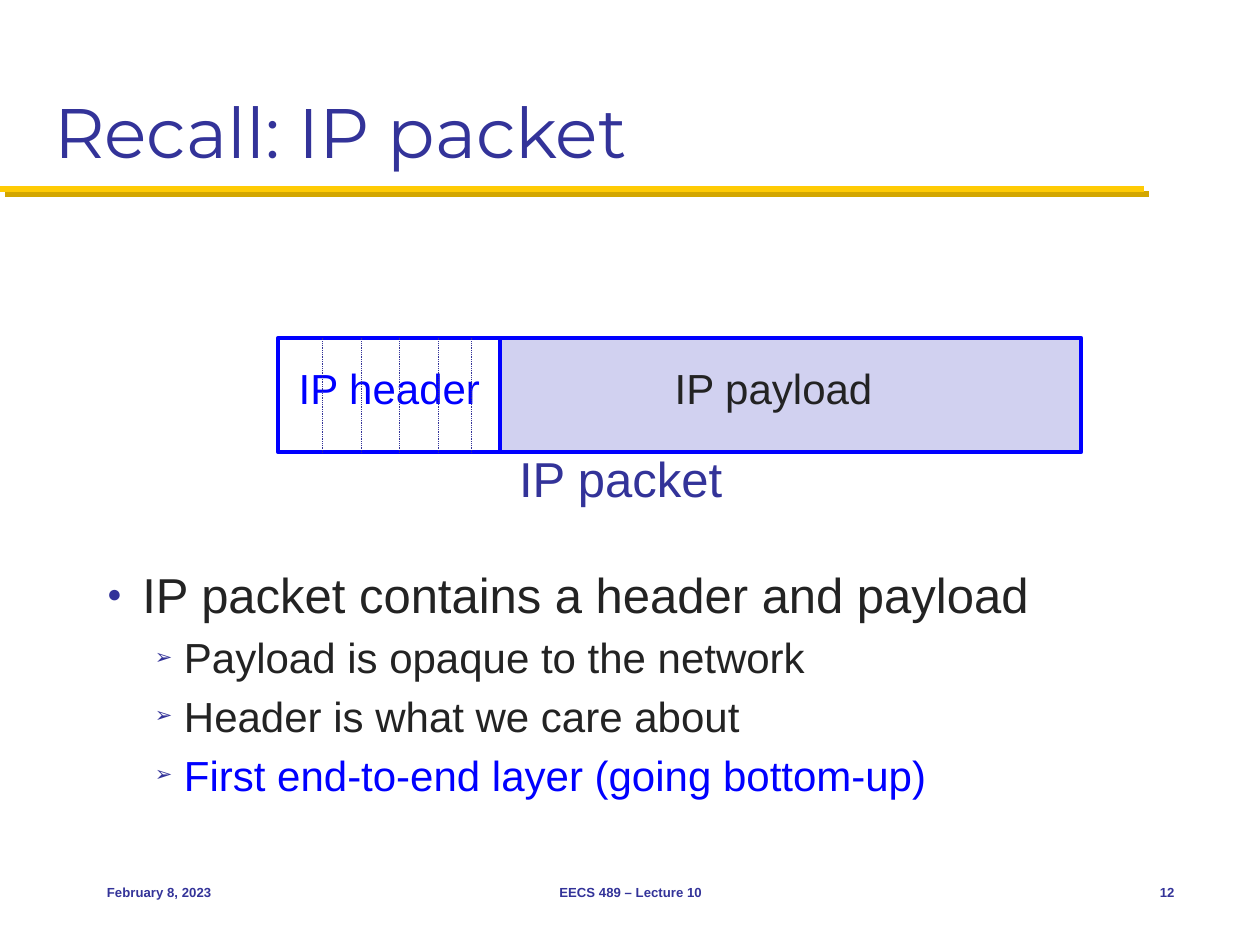
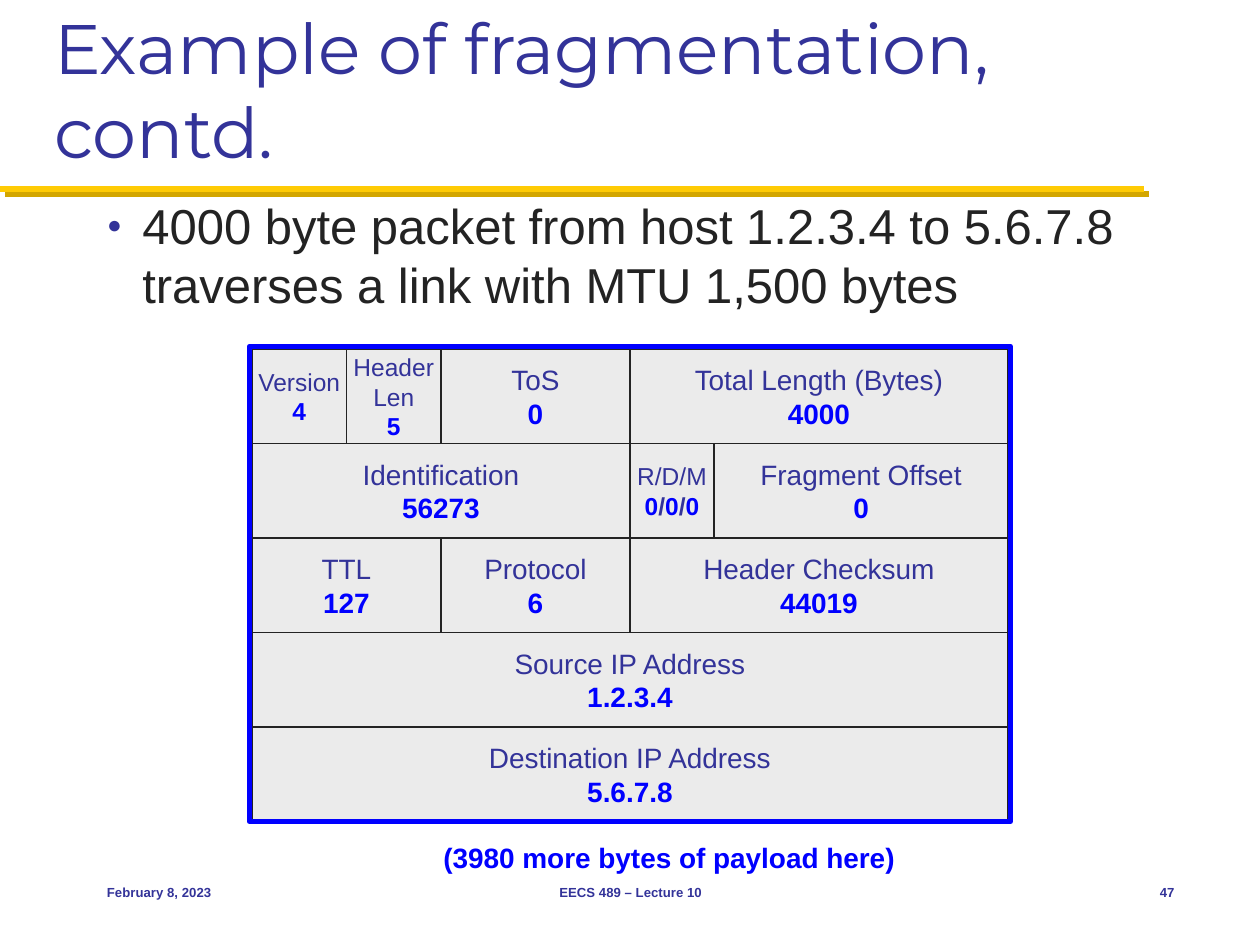
from lxml import etree
from pptx import Presentation
from pptx import util as u
from pptx.dml.color import RGBColor
from pptx.enum import shapes, text
from pptx.oxml.ns import qn

NAVY = RGBColor(0x33, 0x33, 0x99)
BLUE = RGBColor(0x00, 0x00, 0xFF)
INK = RGBColor(0x23, 0x23, 0x23)
MAIZE = RGBColor(0xFF, 0xCB, 0x05)
DARK_MAIZE = RGBColor(0xD3, 0xA6, 0x00)
LAVENDER = RGBColor(0xD1, 0xD1, 0xF0)
GREY = RGBColor(0xEB, 0xEB, 0xEB)
WHITE = RGBColor(0xFF, 0xFF, 0xFF)
BODY_FONT, TITLE_FONT = "Arial", "Montserrat"
LEFT, CENTER, RIGHT = text.PP_ALIGN.LEFT, text.PP_ALIGN.CENTER, text.PP_ALIGN.RIGHT

# Bullet level: text size, left margin, hanging indent, character
LEVELS = [(28, 0.28, 0.28, "●"), (24, 0.61, 0.23, "➢")]

# Footer: text (None takes the slide number), left, width, alignment
FOOTERS = [
    ("February 8, 2023", 0.75, 2.08, LEFT),
    ("EECS 489 – Lecture 10", 3.42, 3.17, CENTER),
    (None, 8.75, 0.67, RIGHT),
]

PACKET_BULLETS = [
    (0, "IP packet contains a header and payload", INK),
    (1, "Payload is opaque to the network", INK),
    (1, "Header is what we care about", INK),
    (1, "First end-to-end layer (going bottom-up)", BLUE),
]
PACKET_LABELS = [  # text, box, size, colour
    ("IP header", (2.13, 2.83, 1.92, 0.5), 24, BLUE),
    ("IP payload", (4.11, 2.83, 4.06, 0.5), 24, INK),
    ("IP packet", (3.8, 3.51, 2.25, 0.57), 28, NAVY),
]
PACKET_TOP, PACKET_HEIGHT = 2.68, 0.91
PACKET_PARTS = [(2.21, 1.77, WHITE), (3.97, 4.61, LAVENDER)]
FIELD_DIVIDERS = [2.56, 2.87, 3.17, 3.48, 3.74]

FRAGMENT_BULLETS = [
    (0, "4000 byte packet from host 1.2.3.4 to 5.6.7.8 "
        "traverses a link with MTU 1,500 bytes", INK),
]
# Header rows: field label, value, width in grid columns (eight to a row)
HEADER_ROWS = [
    [("Version", "4", 1), ("Header\nLen", "5", 1), ("ToS", "0", 2),
     ("Total Length (Bytes)", "4000", 4)],
    [("Identification", "56273", 4), ("R/D/M", "0/0/0", 0.89),
     ("Fragment Offset", "0", 3.11)],
    [("TTL", "127", 2), ("Protocol", "6", 2), ("Header Checksum", "44019", 4)],
    [("Source IP Address", "1.2.3.4", 8)],
    [("Destination IP Address", "5.6.7.8", 8)],
]
GRID_LEFT, GRID_TOP, CELL = 2, 2.77, 0.75
FIELD_SIZE, NARROW_FIELD_SIZE = 16, 14


def inches(*lengths):
    return [u.Inches(length) for length in lengths]


def style(paragraph, size, color, bold=False, font=BODY_FONT):
    for run in paragraph.runs:
        run.font.size, run.font.bold, run.font.name = u.Pt(size), bold, font
        run.font.color.rgb = color


def add_label(slide, words, box, size, color, bold=False, align=CENTER,
              anchor=text.MSO_ANCHOR.TOP, wrap=True):
    frame = slide.shapes.add_textbox(*inches(*box)).text_frame
    frame.word_wrap, frame.vertical_anchor = wrap, anchor
    frame.text = words
    frame.paragraphs[0].alignment = align
    style(frame.paragraphs[0], size, color, bold)


def add_box(slide, box, fill, line, weight):
    rect = slide.shapes.add_shape(shapes.MSO_SHAPE.RECTANGLE, *inches(*box))
    rect.shadow.inherit = False
    if fill is None:
        rect.fill.background()
    else:
        rect.fill.solid()
        rect.fill.fore_color.rgb = fill
    rect.line.color.rgb, rect.line.width = line, u.Pt(weight)
    return rect


def add_line(slide, ends, color, weight):
    """Draw a line; return it with its empty effect list."""
    line = slide.shapes.add_connector(shapes.MSO_CONNECTOR.STRAIGHT, *inches(*ends))
    line.line.color.rgb, line.line.width = color, u.Pt(weight)
    return line, etree.SubElement(line._element.spPr, qn("a:effectLst"))


def add_title_rule(slide):
    _, effects = add_line(slide, (0, 1.5, 9.08, 1.5), MAIZE, 3.5)
    shadow = etree.SubElement(effects, qn("a:outerShdw"), blurRad="0",
                              dist=str(u.Pt(4.2)), dir="2700000", algn="ctr",
                              rotWithShape="0")
    etree.SubElement(shadow, qn("a:srgbClr"), val=str(DARK_MAIZE))


def add_bullet(paragraph, level):
    _, margin, hanging, char = LEVELS[level]
    props = paragraph._p.get_or_add_pPr()
    props.set("marL", str(u.Inches(margin)))
    props.set("indent", str(-u.Inches(hanging)))
    color = etree.SubElement(props, qn("a:buClr"))
    etree.SubElement(color, qn("a:srgbClr"), val=str(NAVY))
    etree.SubElement(props, qn("a:buSzPct"), val="50000")
    etree.SubElement(props, qn("a:buFont"), typeface=BODY_FONT)
    etree.SubElement(props, qn("a:buChar"), char=char)


def place(placeholder, box):
    placeholder.left, placeholder.top, placeholder.width, placeholder.height = inches(*box)
    placeholder.text_frame.auto_size = text.MSO_AUTO_SIZE.NONE
    return placeholder.text_frame


def add_slide(deck, heading, bullets, body_box, number):
    slide = deck.slides.add_slide(deck.slide_layouts[1])
    add_title_rule(slide)

    title = place(slide.shapes.title, (0.33, 0.17, 9.33, 1.25))
    title.vertical_anchor = text.MSO_ANCHOR.BOTTOM
    title.text = heading
    title.paragraphs[0].alignment = LEFT
    style(title.paragraphs[0], 40, NAVY, font=TITLE_FONT)

    body = place(slide.placeholders[1], body_box)
    body.text = "\n".join(words for _, words, _ in bullets)
    for paragraph, (level, _, color) in zip(body.paragraphs, bullets):
        paragraph.level = level
        add_bullet(paragraph, level)
        style(paragraph, LEVELS[level][0], color)
    body.paragraphs[0].space_before = u.Pt(0)

    for words, left, width, align in FOOTERS:
        add_label(slide, words or str(number), (left, 6.83, width, 0.5), 7.5, NAVY,
                  bold=True, align=align, anchor=text.MSO_ANCHOR.MIDDLE)
    return slide


def draw_packet(slide):
    for left, width, fill in PACKET_PARTS:
        add_box(slide, (left, PACKET_TOP, width, PACKET_HEIGHT), fill, BLUE, 2.25)
    for label in PACKET_LABELS:
        add_label(slide, *label)
    for x in FIELD_DIVIDERS:
        divider, _ = add_line(slide, (x, PACKET_TOP, x, PACKET_TOP + PACKET_HEIGHT),
                              NAVY, 0.25)
        outline = divider.get_or_add_ln()
        etree.SubElement(outline, qn("a:prstDash"), val="dot")


def fill_field(frame, label, value, size):
    frame.margin_left = frame.margin_right = frame.margin_top = frame.margin_bottom = 0
    frame.word_wrap, frame.vertical_anchor = False, text.MSO_ANCHOR.MIDDLE
    frame.text = label
    for paragraph in frame.paragraphs:
        style(paragraph, size, NAVY)
    value_line = frame.add_paragraph()
    for piece in value.replace("/", " / ").split():
        value_line.add_run().text = piece
    style(value_line, size, BLUE, bold=True)
    for run in value_line.runs:
        if run.text == "/":
            run.font.color.rgb = NAVY
    for paragraph in frame.paragraphs:
        paragraph.alignment = CENTER


def draw_header_fields(slide):
    for row, fields in enumerate(HEADER_ROWS):
        column = 0
        for label, value, span in fields:
            box = (GRID_LEFT + column * CELL, GRID_TOP + row * CELL, span * CELL, CELL)
            size = NARROW_FIELD_SIZE if span <= 1 else FIELD_SIZE
            field = add_box(slide, box, GREY, INK, 0.75)
            fill_field(field.text_frame, label, value, size)
            column += span
    add_box(slide, (GRID_LEFT - 0.02, GRID_TOP - 0.02, 8 * CELL + 0.04,
                    len(HEADER_ROWS) * CELL + 0.02), None, BLUE, 3)
    add_label(slide, "(3980 more bytes of payload here)", (3.42, 6.62, 3.83, 0.37),
              16, BLUE, bold=True, align=LEFT, wrap=False)


def main():
    deck = Presentation()
    deck.slide_width, deck.slide_height = inches(10, 7.5)
    draw_packet(add_slide(deck, "Recall: IP packet", PACKET_BULLETS,
                          (0.75, 4.43, 8.67, 2.16), 12))
    draw_header_fields(add_slide(deck, "Example of fragmentation, contd.",
                                 FRAGMENT_BULLETS, (0.75, 1.5, 8.67, 4.83), 47))
    deck.save("out.pptx")


if __name__ == "__main__":
    main()
